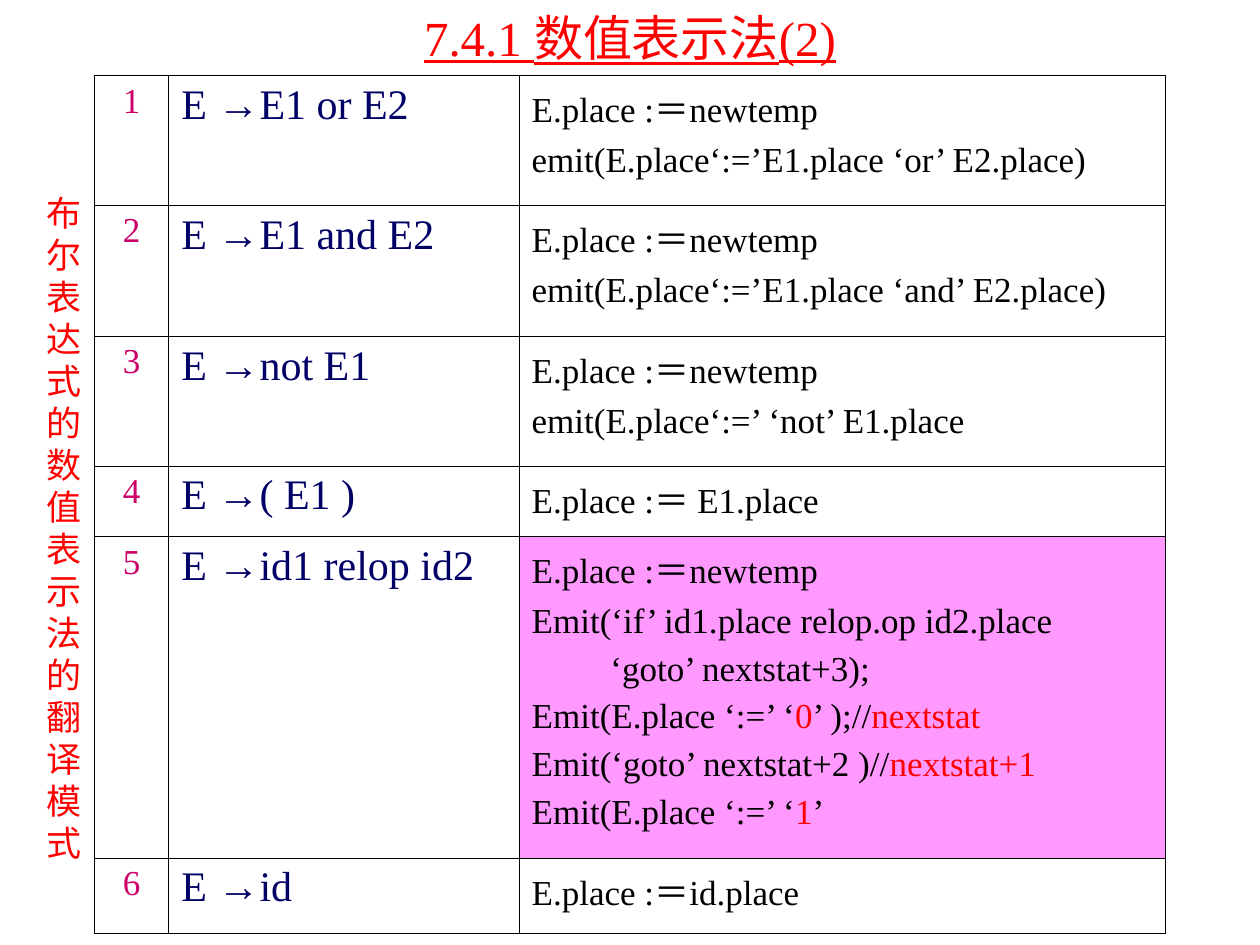
import pptx
import pptx.dml.color
import pptx.enum.text
import pptx.oxml
import pptx.oxml.ns
import pptx.util
from dataclasses import dataclass

Inches = pptx.util.Inches
Pt = pptx.util.Pt
ALIGN = pptx.enum.text.PP_ALIGN
ANCHOR = pptx.enum.text.MSO_ANCHOR


@dataclass(frozen=True)
class Theme:
    font: str = "Times New Roman"
    accent: str = "FF0000"
    number: str = "CC0066"
    production: str = "000066"
    action: str = "000000"
    highlight: str = "FF99FF"
    border: str = "000000"
    title_size: int = 28
    production_size: int = 24
    body_size: int = 20
    space_before: int = 5
    outer_line: float = 1.08
    inner_line: float = 0.45


THEME = Theme()
COLUMN_WIDTHS = [0.59, 2.78, 5.13]
ROW_HEIGHTS = [1.03, 1.04, 1.03, 0.56, 2.55, 0.6]
HIGHLIGHTED_ROW = 4

# Production and its semantic actions; text between bars is shown in the accent colour
RULES = [
    ("E →E1 or E2", ["E.place :＝newtemp", "emit(E.place‘:=’E1.place ‘or’ E2.place)"]),
    ("E →E1 and E2", ["E.place :＝newtemp", "emit(E.place‘:=’E1.place ‘and’ E2.place)"]),
    ("E →not E1", ["E.place :＝newtemp", "emit(E.place‘:=’ ‘not’ E1.place"]),
    ("E →( E1 )", ["E.place :＝ E1.place"]),
    ("E →id1 relop id2", [
        "E.place :＝newtemp",
        "Emit(‘if’ id1.place relop.op id2.place",
        "         ‘goto’ nextstat+3);",
        "Emit(E.place ‘:=’ ‘|0|’ );//|nextstat|",
        "Emit(‘goto’ nextstat+2 )//|nextstat+1|",
        "Emit(E.place ‘:=’ ‘|1|’",
    ]),
    ("E →id", ["E.place :＝id.place"]),
]


def set_attributes(target, values):
    for name, value in values.items():
        setattr(target, name, value)


def write_lines(frame, lines, size, color, alignment=ALIGN.LEFT, underline=False):
    for index, line in enumerate(lines):
        paragraph = frame.add_paragraph() if index else frame.paragraphs[0]
        paragraph.alignment = alignment
        if index:
            paragraph.space_before = Pt(THEME.space_before)
        for part_index, part in enumerate(line.split("|")):
            if not part:
                continue
            run = paragraph.add_run()
            run.text = part
            set_attributes(run.font, {
                "name": THEME.font, "size": Pt(size), "underline": underline})
            run_color = THEME.accent if part_index % 2 else color
            run.font.color.rgb = pptx.dml.color.RGBColor.from_string(run_color)


def set_borders(cell, widths):
    properties = cell._tc.get_or_add_tcPr()
    for index, (side, width) in enumerate(widths.items()):
        line = pptx.oxml.parse_xml(
            f'<a:{side} {pptx.oxml.ns.nsdecls("a")} w="{int(Pt(width))}">'
            f'<a:solidFill><a:srgbClr val="{THEME.border}"/></a:solidFill></a:{side}>')
        properties.insert(index, line)


def add_text_box(slide, box, text, size, format_values, **text_format):
    frame = slide.shapes.add_textbox(*map(Inches, box)).text_frame
    set_attributes(frame, {"word_wrap": True, **format_values})
    write_lines(frame, [text], size, THEME.accent, **text_format)


def add_title(slide, box):
    add_text_box(slide, box, "7.4.1 数值表示法(2)", THEME.title_size,
                 {"vertical_anchor": ANCHOR.MIDDLE},
                 alignment=ALIGN.CENTER, underline=True)


def add_side_label(slide, box):
    # The narrow box wraps after every character
    add_text_box(slide, box, "布尔表达式的数值表示法的翻译模式", THEME.body_size,
                 {"vertical_anchor": ANCHOR.TOP})


def add_rule_table(slide, box):
    row_count, column_count = len(RULES), len(COLUMN_WIDTHS)
    table = slide.shapes.add_table(row_count, column_count, *map(Inches, box)).table
    set_attributes(table, {"first_row": False, "horz_banding": False})
    for column, width in zip(table.columns, COLUMN_WIDTHS):
        column.width = Inches(width)
    for row, height in zip(table.rows, ROW_HEIGHTS):
        row.height = Inches(height)

    for row_index, (production, actions) in enumerate(RULES):
        contents = [
            ([str(row_index + 1)], THEME.body_size, THEME.number, ALIGN.CENTER),
            ([production], THEME.production_size, THEME.production, ALIGN.LEFT),
            (actions, THEME.body_size, THEME.action, ALIGN.LEFT),
        ]
        for column_index, content in enumerate(contents):
            cell = table.cell(row_index, column_index)
            write_lines(cell.text_frame, *content)
            if row_index == HIGHLIGHTED_ROW and column_index == column_count - 1:
                cell.fill.solid()
                cell.fill.fore_color.rgb = pptx.dml.color.RGBColor.from_string(
                    THEME.highlight)
            else:
                cell.fill.background()
            is_outer = {
                "lnL": column_index == 0,
                "lnR": column_index == column_count - 1,
                "lnT": row_index == 0,
                "lnB": row_index == row_count - 1,
            }
            set_borders(cell, {
                side: THEME.outer_line if outer else THEME.inner_line
                for side, outer in is_outer.items()})


def main():
    presentation = pptx.Presentation()
    set_attributes(presentation, {
        "slide_width": Inches(10), "slide_height": Inches(7.5)})
    slide = presentation.slides.add_slide(presentation.slide_layouts[6])
    add_title(slide, (0.75, 0, 8.5, 0.58))
    add_rule_table(slide, (0.75, 0.6, sum(COLUMN_WIDTHS), sum(ROW_HEIGHTS)))
    add_side_label(slide, (0.27, 1.47, 0.29, 5.44))
    presentation.save("out.pptx")


if __name__ == "__main__":
    main()
